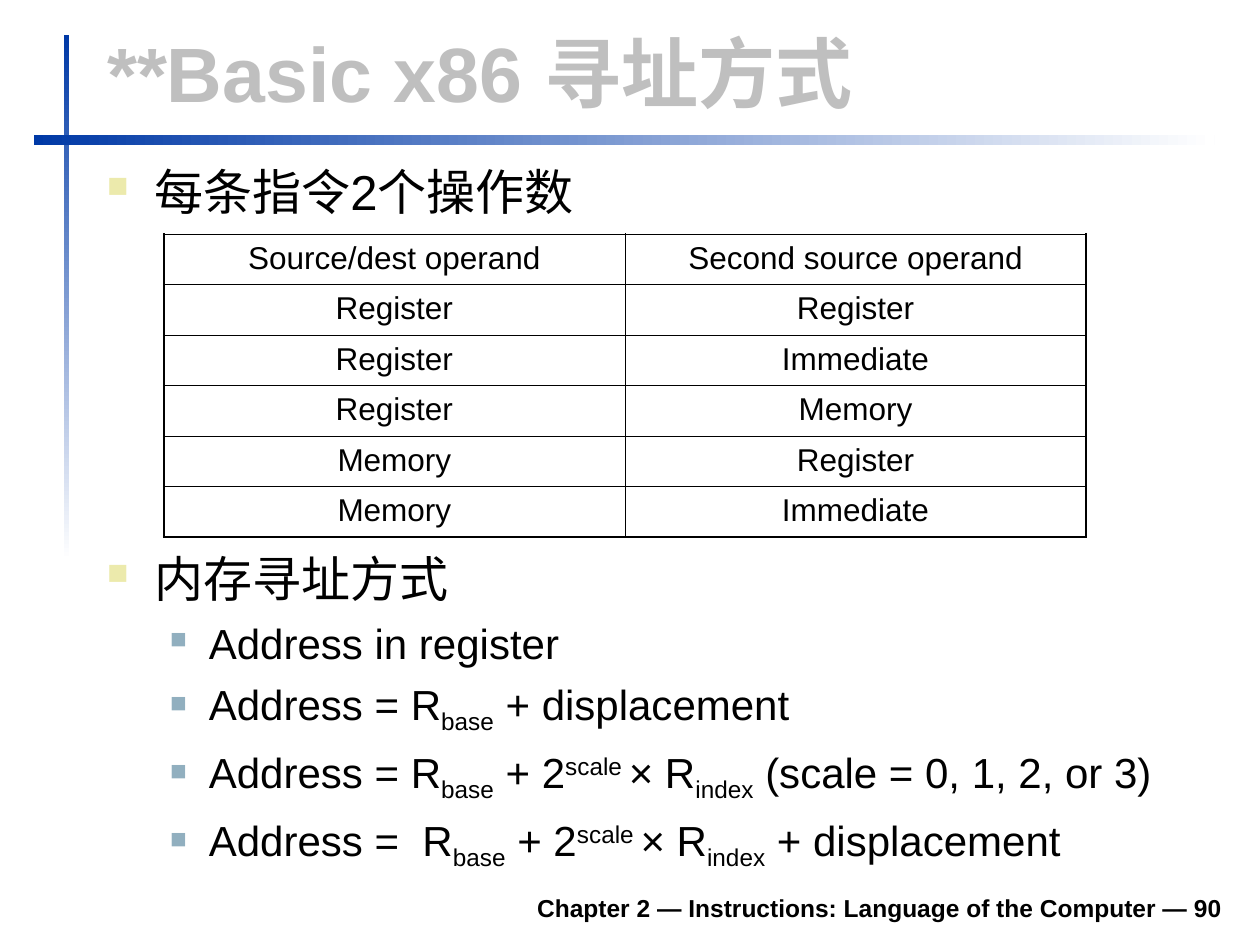
"""Build the slide on basic x86 addressing modes."""
import dataclasses

import lxml.etree
import pptx
import pptx.dml.color
import pptx.enum.shapes
import pptx.enum.text
import pptx.oxml.ns
import pptx.util

Inches, Pt = pptx.util.Inches, pptx.util.Pt
RGB = pptx.dml.color.RGBColor.from_string
Align, Anchor = pptx.enum.text.PP_ALIGN, pptx.enum.text.MSO_ANCHOR
qn = pptx.oxml.ns.qn


@dataclasses.dataclass(frozen=True)
class Theme:
    font: str = "Arial"
    ink: str = "000000"
    paper: str = "FFFFFF"
    blue: str = "0039A6"
    grey: str = "BFBFBF"
    marks: tuple = ("ECEAAC", "91AFBF")
    scales: tuple = (60, 55)
    sizes: tuple = (28, 24)
    gaps: tuple = (7, 6)
    indents: tuple = ((0.38, -0.38), (0.81, -0.31))
    head: int = 44
    cell: int = 18
    foot: int = 14
    thin: float = 0.45
    thick: float = 1.08


THEME = Theme()
SHIFTS = {"_": -25000, "^": 30000}
HEADS = ("Source/dest operand", "Second source operand")
PAIRS = (
    ("Register", "Register"),
    ("Register", "Immediate"),
    ("Register", "Memory"),
    ("Memory", "Register"),
    ("Memory", "Immediate"),
)
SCALED = "R|_base| + 2|^scale |× R|_index|"
MODES = (
    (0, "内存寻址方式"),
    (1, "Address in register"),
    (1, "Address = R|_base| + displacement"),
    (1, f"Address = {SCALED} (scale = 0, 1, 2, or 3)"),
    (1, f"Address =  {SCALED} + displacement"),
)


def style(target, values):
    for name, value in values.items():
        setattr(target, name, value)


def write(para, text, size, color=THEME.ink, bold=False):
    for part in text.split("|"):
        shift = SHIFTS.get(part[:1])
        run = para.add_run()
        run.text = part[1:] if shift else part
        style(run.font, {"name": THEME.font, "size": Pt(size), "bold": bold})
        run.font.color.rgb = RGB(color)
        if shift:
            run._r.get_or_add_rPr().set("baseline", str(shift))


def add_bar(slide, box, angle):
    kind = pptx.enum.shapes.MSO_SHAPE.RECTANGLE
    bar = slide.shapes.add_shape(kind, *map(Inches, box))
    bar.shadow.inherit = False
    bar.line.fill.background()
    bar.fill.gradient()
    bar.fill.gradient_angle = angle
    for stop, color in zip(bar.fill.gradient_stops, (THEME.blue, THEME.paper)):
        stop.color.rgb = RGB(color)


def add_box(slide, box, anchor):
    frame = slide.shapes.add_textbox(*map(Inches, box)).text_frame
    style(frame, {"word_wrap": True, "vertical_anchor": anchor})
    return frame


def set_title(slide, text):
    title = slide.shapes.title
    box = map(Inches, (0.75, 0.16, 9.03, 0.83))
    style(title, dict(zip(("left", "top", "width", "height"), box)))
    title.text_frame.vertical_anchor = Anchor.BOTTOM
    para = title.text_frame.paragraphs[0]
    para.alignment = Align.LEFT
    write(para, text, THEME.head, THEME.grey, True)
    slide.shapes._spTree.append(title._element)


def add_foot(slide, text):
    frame = add_box(slide, (1.85, 6.98, 7.95, 0.39), Anchor.BOTTOM)
    para = frame.paragraphs[0]
    para.alignment = Align.RIGHT
    write(para, text, THEME.foot, bold=True)


def set_mark(para, level):
    props = para._p.get_or_add_pPr()
    left, hang = THEME.indents[level]
    props.set("marL", str(Inches(left)))
    props.set("indent", str(Inches(hang)))
    color = lxml.etree.SubElement(props, qn("a:buClr"))
    lxml.etree.SubElement(color, qn("a:srgbClr"), val=THEME.marks[level])
    scale = str(THEME.scales[level] * 1000)
    lxml.etree.SubElement(props, qn("a:buSzPct"), val=scale)
    lxml.etree.SubElement(props, qn("a:buChar"), char="■")


def add_list(slide, box, items):
    frame = add_box(slide, box, Anchor.TOP)
    for place, (level, text) in enumerate(items):
        para = frame.add_paragraph() if place else frame.paragraphs[0]
        set_mark(para, level)
        gap = Pt(THEME.gaps[level] if place else 0)
        style(para, {"level": level, "space_before": gap})
        write(para, text, THEME.sizes[level])


def set_edges(cell, outer):
    props = cell._tc.get_or_add_tcPr()
    for place, side in enumerate("LRTB"):
        width = THEME.thick if outer[side] else THEME.thin
        line = lxml.etree.Element(qn(f"a:ln{side}"), w=str(Pt(width)))
        fill = lxml.etree.SubElement(line, qn("a:solidFill"))
        lxml.etree.SubElement(fill, qn("a:srgbClr"), val=THEME.ink)
        props.insert(place, line)


def add_grid(slide, box, rows):
    high, wide = len(rows), len(rows[0])
    table = slide.shapes.add_table(high, wide, *map(Inches, box)).table
    style(table, {"first_row": False, "horz_banding": False})
    for y, row in enumerate(rows):
        for x, text in enumerate(row):
            cell = table.cell(y, x)
            cell.fill.background()
            set_edges(cell, {"L": x == 0, "R": x == wide - 1,
                             "T": y == 0, "B": y == high - 1})
            para = cell.text_frame.paragraphs[0]
            para.alignment = Align.CENTER
            write(para, text, THEME.cell)


def main():
    deck = pptx.Presentation()
    style(deck, {"slide_width": Inches(10), "slide_height": Inches(7.5)})
    slide = deck.slides.add_slide(deck.slide_layouts[5])
    add_bar(slide, (0.51, 0.28, 0.04, 4.17), 270)
    add_bar(slide, (0.27, 1.07, 9.37, 0.08), 0)
    add_foot(slide, "Chapter 2 — Instructions: Language of the Computer — 90")
    set_title(slide, "**Basic x86 寻址方式")
    add_list(slide, (0.75, 1.23, 9.04, 0.71), [(0, "每条指令2个操作数")])
    add_grid(slide, (1.3, 1.86, 7.32, 2.4), (HEADS, *PAIRS))
    add_list(slide, (0.75, 4.3, 9.04, 2.52), MODES)
    deck.save("out.pptx")


if __name__ == "__main__":
    main()
